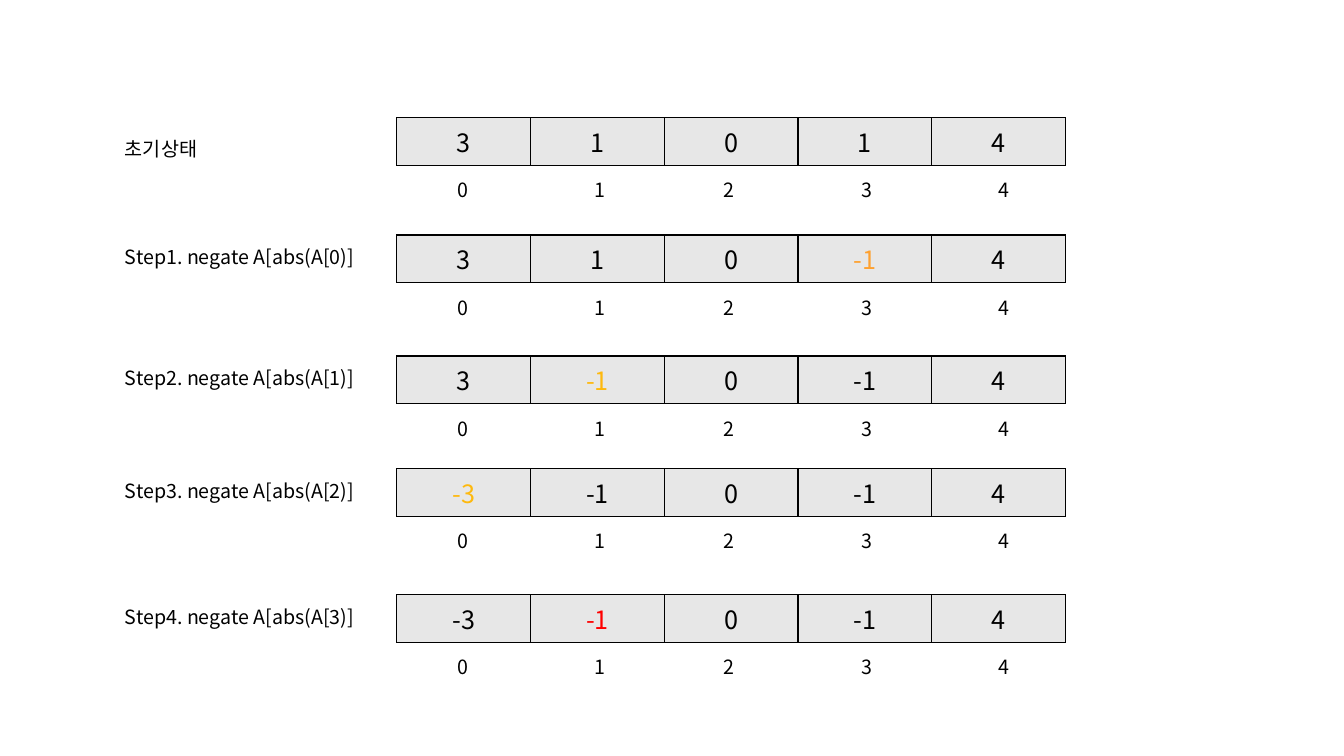
from lxml import etree
from pptx import Presentation
from pptx.dml import color
from pptx.enum import text
from pptx.oxml import ns
from pptx.util import Cm, Pt

FONT = "Noto Sans CJK KR"
BLACK, GREY, ORANGE, YELLOW, RED = "000000", "E7E7E7", "FEA130", "FEB90E", "FF0000"

# label, label offset, top, values, changed index, highlight colour
STATES = [
    ("초기상태", 0.36, 2.97, (3, 1, 0, 1, 4), None, BLACK),
    ("Step1. negate A[abs(A[0)]", 0.13, 5.92, (3, 1, 0, -1, 4), 3, ORANGE),
    ("Step2. negate A[abs(A[1)]", 0.13, 8.97, (3, -1, 0, -1, 4), 1, YELLOW),
    ("Step3. negate A[abs(A[2)]", 0.13, 11.81, (-3, -1, 0, -1, 4), 0, YELLOW),
    ("Step4. negate A[abs(A[3)]", 0.13, 14.99, (-3, -1, 0, -1, 4), 1, RED),
]
INDEX_LEFTS = (11.07, 14.53, 17.78, 21.26, 24.71)
LABEL_LEFT, LABEL_W = 2.69, 8
INDEX_OFFSET, INDEX_W = 1.4, 1.88
TEXT_H, TEXT_INSET = 0.86, 0.46
TABLE_LEFT, COL_W, ROW_H = 10, 3.37, 1.2


def rgb(value):
    return color.RGBColor.from_string(value)


def write(tf, content, size=14, fill=BLACK, align=text.PP_ALIGN.LEFT):
    p = tf.paragraphs[0]
    p.alignment = align
    r = p.add_run()
    r.text = content
    r.font.size = Pt(size)
    r.font.name = FONT
    r.font.color.rgb = rgb(fill)
    etree.SubElement(r.font._element, ns.qn("a:ea"), typeface=FONT)


def add_text(slide, content, left, top, width):
    sp = slide.shapes.add_textbox(Cm(left), Cm(top), Cm(width), Cm(TEXT_H))
    tf = sp.text_frame
    tf.word_wrap = True
    tf.margin_left = Cm(TEXT_INSET)
    write(tf, content)


def add_borders(cell, line=BLACK, width=1):
    tc_pr = cell._tc.get_or_add_tcPr()
    for side in ("lnL", "lnR", "lnT", "lnB"):
        ln = etree.SubElement(tc_pr, ns.qn(f"a:{side}"), w=str(Pt(width)))
        solid = etree.SubElement(ln, ns.qn("a:solidFill"))
        etree.SubElement(solid, ns.qn("a:srgbClr"), val=line)


def add_array(slide, values, top, changed, highlight):
    frame = slide.shapes.add_table(
        1, len(values), Cm(TABLE_LEFT), Cm(top), Cm(COL_W * len(values)), Cm(ROW_H))
    table = frame.table
    table.first_row = table.horz_banding = False
    for i, value in enumerate(values):
        table.columns[i].width = Cm(COL_W)
        cell = table.cell(0, i)
        add_borders(cell)
        cell.fill.solid()
        cell.fill.fore_color.rgb = rgb(GREY)
        cell.vertical_anchor = text.MSO_ANCHOR.MIDDLE
        write(cell.text_frame, str(value), size=18,
              fill=highlight if i == changed else BLACK, align=text.PP_ALIGN.CENTER)


prs = Presentation()
prs.slide_width, prs.slide_height = Cm(33.87), Cm(19.05)
slide = prs.slides.add_slide(prs.slide_layouts[6])

for label, offset, top, values, changed, highlight in STATES:
    add_text(slide, label, LABEL_LEFT, top + offset, LABEL_W)
    add_array(slide, values, top, changed, highlight)
    for i, left in enumerate(INDEX_LEFTS):
        add_text(slide, str(i), left, top + INDEX_OFFSET, INDEX_W)

prs.save("out.pptx")
